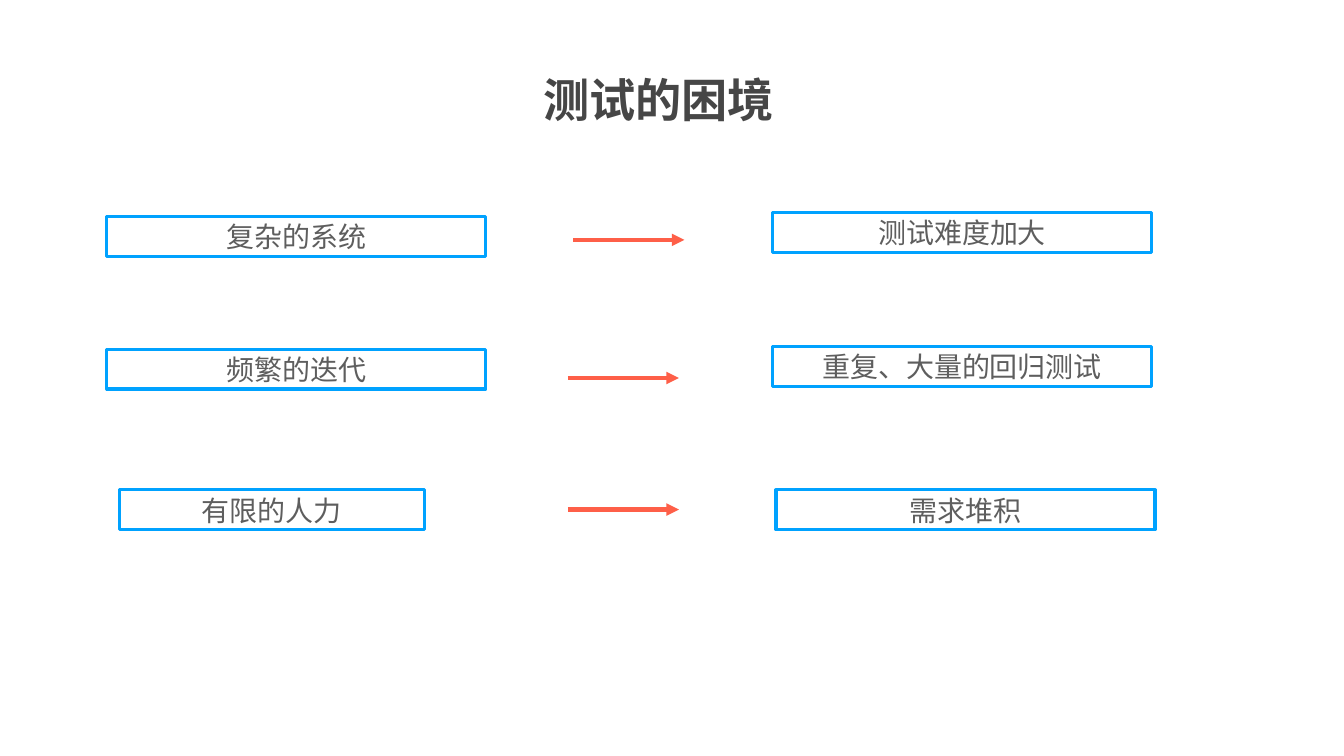
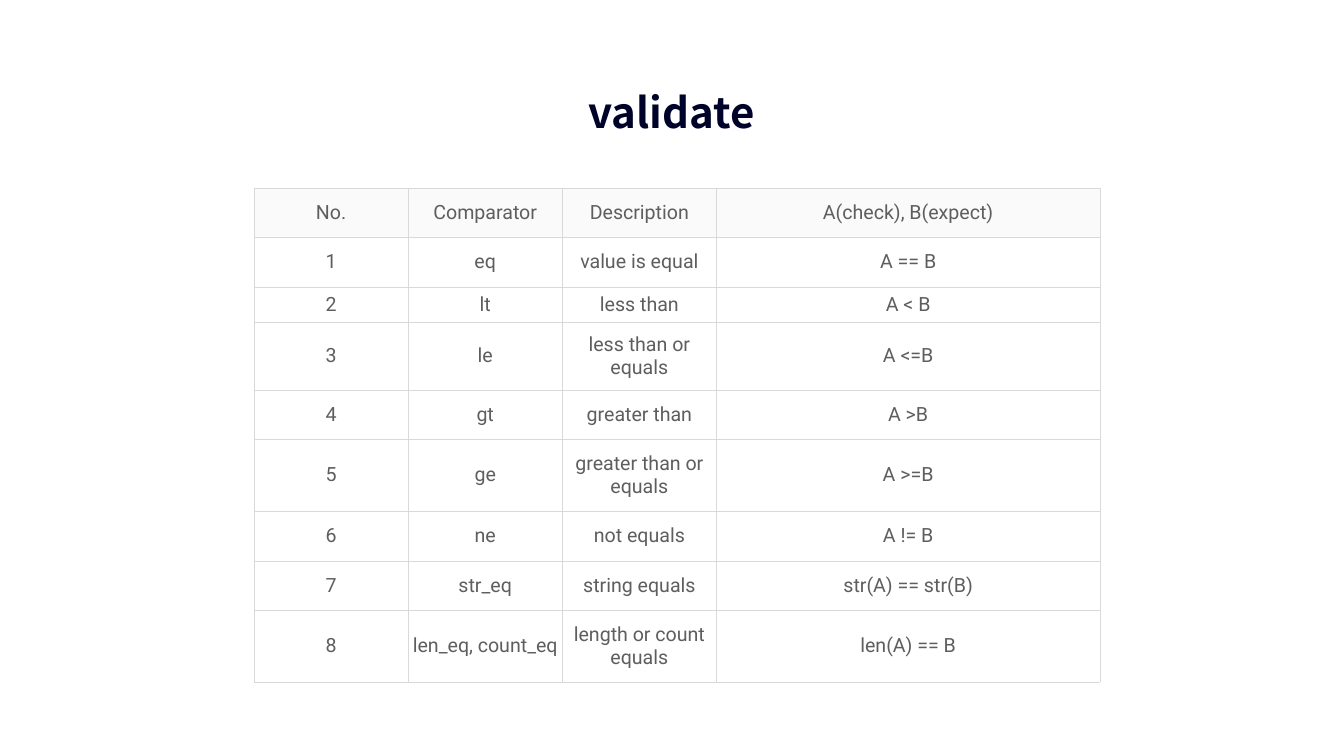
from dataclasses import dataclass
from typing import Any, NamedTuple

from lxml import etree
from pptx import Presentation
from pptx import util as u
from pptx.dml.color import RGBColor
from pptx.enum import shapes, text
from pptx.oxml import ns

SLIDE_WIDTH = u.Inches(26.67)
SLIDE_HEIGHT = u.Inches(15)


@dataclass(frozen=True)
class Theme:
    title_font: str = "Noto Sans CJK SC"
    body_font: str = "Roboto"
    dark_title: str = "464646"
    navy_title: str = "000329"
    body: str = "5E5E5E"
    paper: str = "FFFFFF"
    header: str = "FAFAFA"
    grid: str = "D9D9D9"
    outline: str = "00A2FF"
    arrow: str = "FE5F48"
    large_title_size: float = 66
    title_size: float = 60
    label_size: float = 40
    cell_size: float = 28
    outline_width: float = 4.5
    arrow_width: float = 6
    grid_width: float = 0.5


THEME = Theme()


class Area(NamedTuple):
    """A rectangle in percent of the slide's width and height."""
    left: float
    top: float
    width: float
    height: float


class Label(NamedTuple):
    words: str
    left: float
    top: float
    width: float = 28.2


class Arrow(NamedTuple):
    left: float
    middle: float


class Comparator(NamedTuple):
    name: str
    description: str
    expression: str
    height: float = 6.53


LABEL_HEIGHT = 5.27
ARROW_LENGTH = 8.26
CAUSE_LEFT, EFFECT_LEFT = 7.95, 57.48
LABELS = [
    Label("有限的人力", 8.89, 64.8, 22.68),
    Label("测试难度加大", EFFECT_LEFT, 28.13),
    Label("复杂的系统", CAUSE_LEFT, 28.67),
    Label("频繁的迭代", CAUSE_LEFT, 46.2),
    Label("重复、大量的回归测试", EFFECT_LEFT, 45.87),
    Label("需求堆积", 57.74, 64.8),
]
ARROWS = [Arrow(42.67, 31.73), Arrow(42.26, 50), Arrow(42.26, 67.4)]

TABLE_LEFT, TABLE_TOP = 18.9, 24.87
COLUMN_WIDTHS = [11.47, 11.47, 11.47, 28.53]
HEADER = Comparator("Comparator", "Description", "A(check), B(expect)")
COMPARATORS = [
    Comparator("eq", "value is equal", "A == B"),
    Comparator("lt", "less than", "A < B", 4.73),
    Comparator("le", "less than or equals", "A <=B", 8.93),
    Comparator("gt", "greater than", "A >B"),
    Comparator("ge", "greater than or equals", "A >=B", 9.53),
    Comparator("ne", "not equals", "A != B"),
    Comparator("str_eq", "string equals", "str(A) == str(B)"),
    Comparator("len_eq, count_eq", "length or count equals", "len(A) == B", 9.53),
]


def across(percent: float) -> u.Emu:
    return u.Emu(round(SLIDE_WIDTH * percent / 100))


def down(percent: float) -> u.Emu:
    return u.Emu(round(SLIDE_HEIGHT * percent / 100))


def place(area: Area) -> tuple[u.Emu, u.Emu, u.Emu, u.Emu]:
    return across(area.left), down(area.top), across(area.width), down(area.height)


def color(code: str) -> RGBColor:
    return RGBColor.from_string(code)


def write(frame: Any, words: str, *, size: float, ink: str,
          font: str = THEME.body_font, bold: bool = False,
          align: Any = text.PP_ALIGN.CENTER) -> None:
    para = frame.paragraphs[0]
    para.alignment = align
    span = para.add_run()
    span.text = words
    span.font.size = u.Pt(size)
    span.font.name = font
    span.font.bold = bold
    span.font.color.rgb = color(ink)
    east_asian = etree.SubElement(span.font._element, ns.qn("a:ea"))
    east_asian.set("typeface", font)


def fit_tightly(frame: Any, wrap: bool) -> None:
    """Centre the text vertically, with narrow margins and a height that grows."""
    frame.margin_left = frame.margin_right = u.Inches(0.06)
    frame.margin_top = frame.margin_bottom = u.Inches(0.06)
    frame.vertical_anchor = text.MSO_ANCHOR.MIDDLE
    frame.auto_size = text.MSO_AUTO_SIZE.SHAPE_TO_FIT_TEXT
    frame.word_wrap = wrap


def add_title(page: Any, words: str, area: Area, *, size: float, ink: str,
              tight: bool) -> None:
    frame = page.shapes.add_textbox(*place(area)).text_frame
    if tight:
        fit_tightly(frame, wrap=False)
    else:
        frame.word_wrap = True
        frame.auto_size = text.MSO_AUTO_SIZE.SHAPE_TO_FIT_TEXT
    align = text.PP_ALIGN.CENTER if tight else text.PP_ALIGN.LEFT
    write(frame, words, size=size, ink=ink, font=THEME.title_font, bold=True, align=align)


def add_label(page: Any, label: Label) -> None:
    area = Area(label.left, label.top, label.width, LABEL_HEIGHT)
    box = page.shapes.add_shape(shapes.MSO_SHAPE.RECTANGLE, *place(area))
    box.shadow.inherit = False
    box.fill.solid()
    box.fill.fore_color.rgb = color(THEME.paper)
    box.line.color.rgb = color(THEME.outline)
    box.line.width = u.Pt(THEME.outline_width)
    fit_tightly(box.text_frame, wrap=True)
    write(box.text_frame, label.words, size=THEME.label_size, ink=THEME.body)


def add_arrow(page: Any, arrow: Arrow) -> None:
    height = down(arrow.middle)
    connector = page.shapes.add_connector(
        shapes.MSO_CONNECTOR.STRAIGHT, across(arrow.left), height,
        across(arrow.left + ARROW_LENGTH), height)
    connector.line.color.rgb = color(THEME.arrow)
    connector.line.width = u.Pt(THEME.arrow_width)
    tip = etree.SubElement(connector.line._get_or_add_ln(), ns.qn("a:tailEnd"))
    tip.set("type", "triangle")
    etree.SubElement(connector._element.spPr, ns.qn("a:effectLst"))


def add_borders(cell: Any) -> None:
    properties = cell._tc.get_or_add_tcPr()
    for side in ("lnL", "lnR", "lnT", "lnB"):
        edge = etree.SubElement(properties, ns.qn(f"a:{side}"),
                                w=str(u.Pt(THEME.grid_width)))
        fill = etree.SubElement(edge, ns.qn("a:solidFill"))
        etree.SubElement(fill, ns.qn("a:srgbClr"), val=THEME.grid)


def fill_cell(cell: Any, words: str, background: str) -> None:
    add_borders(cell)
    cell.fill.solid()
    cell.fill.fore_color.rgb = color(background)
    cell.margin_left = cell.margin_right = u.Inches(0.06)
    cell.margin_top = cell.margin_bottom = u.Inches(0.03)
    cell.vertical_anchor = text.MSO_ANCHOR.MIDDLE
    write(cell.text_frame, words, size=THEME.cell_size, ink=THEME.body)


def add_comparator_table(page: Any) -> None:
    entries = [HEADER, *COMPARATORS]
    area = Area(TABLE_LEFT, TABLE_TOP, sum(COLUMN_WIDTHS),
                sum(entry.height for entry in entries))
    table = page.shapes.add_table(len(entries), len(COLUMN_WIDTHS), *place(area)).table
    table.first_row = table.horz_banding = False
    for column, width in zip(table.columns, COLUMN_WIDTHS):
        column.width = across(width)
    for number, (row, entry) in enumerate(zip(table.rows, entries)):
        row.height = down(entry.height)
        background = THEME.paper if number else THEME.header
        values = (str(number) if number else "No.",
                  entry.name, entry.description, entry.expression)
        for cell, words in zip(row.cells, values):
            fill_cell(cell, words, background)


def add_page(deck: Any) -> Any:
    page = deck.slides.add_slide(deck.slide_layouts[6])
    page.background.fill.solid()
    page.background.fill.fore_color.rgb = color(THEME.paper)
    return page


def build_difficulties(deck: Any) -> None:
    page = add_page(deck)
    add_title(page, "测试的困境", Area(40.04, 9.07, 21.78, 8.07),
              size=THEME.large_title_size, ink=THEME.dark_title, tight=False)
    for label in LABELS:
        add_label(page, label)
    for arrow in ARROWS:
        add_arrow(page, arrow)


def build_validate(deck: Any) -> None:
    page = add_page(deck)
    add_title(page, "validate", Area(43.5, 11, 12.97, 7.47),
              size=THEME.title_size, ink=THEME.navy_title, tight=True)
    add_comparator_table(page)


def main() -> None:
    deck = Presentation()
    deck.slide_width, deck.slide_height = SLIDE_WIDTH, SLIDE_HEIGHT
    build_difficulties(deck)
    build_validate(deck)
    deck.save("out.pptx")


if __name__ == "__main__":
    main()
